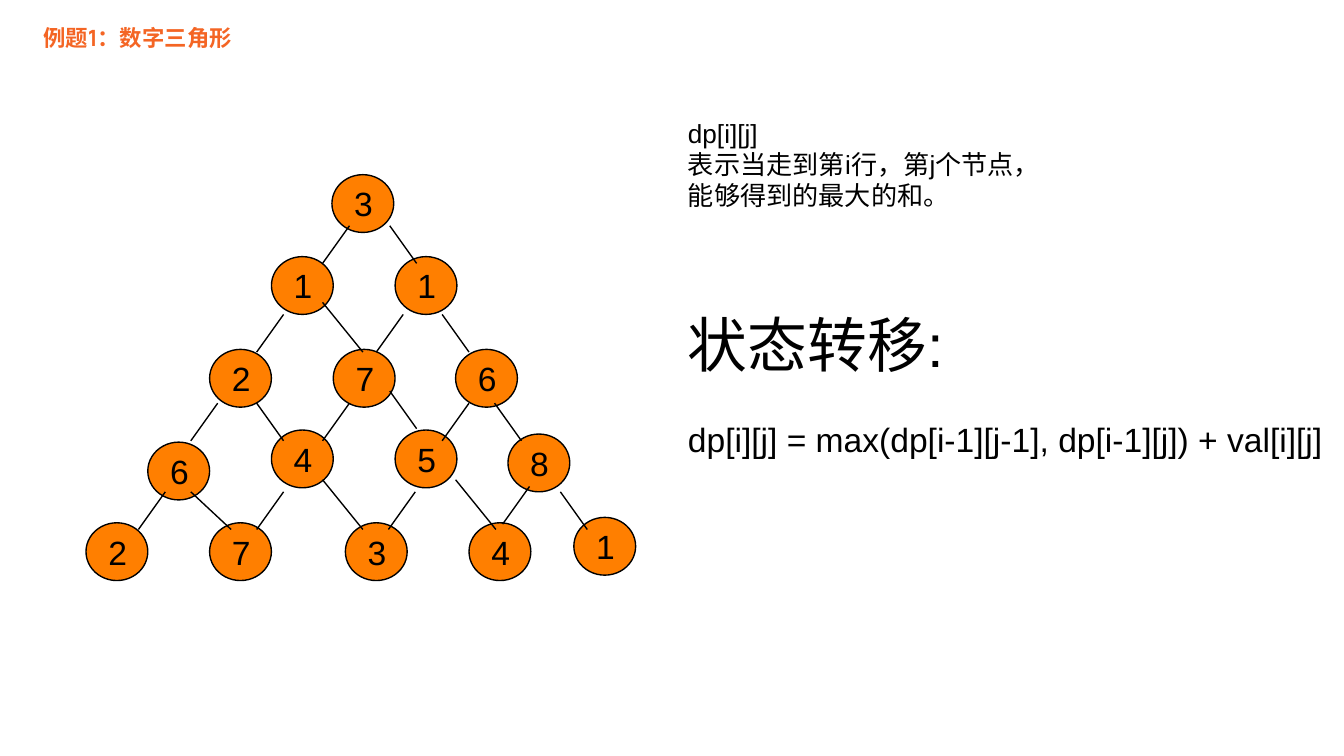
from lxml import etree
from pptx import Presentation
from pptx.dml.color import RGBColor
from pptx.enum.shapes import MSO_CONNECTOR, MSO_SHAPE
from pptx.enum.text import MSO_ANCHOR, MSO_AUTO_SIZE, PP_ALIGN
from pptx.oxml.ns import qn
from pptx.util import Pt

OVAL = MSO_SHAPE.OVAL
LINE = MSO_CONNECTOR.STRAIGHT
TOP, MIDDLE = MSO_ANCHOR.TOP, MSO_ANCHOR.MIDDLE
LEFT, CENTER = PP_ALIGN.LEFT, PP_ALIGN.CENTER
NO_FIT = MSO_AUTO_SIZE.NONE

UNIT = 9144  # 100 px to the inch
COLORS = {"title": "F46524", "node": "FF7F00", "ink": "000000"}
NODE_W, NODE_H = 46, 43

# Each node: left, top, value
NODES = [
    (247, 130, "3"),
    (202, 191, "1"), (294, 191, "1"),
    (156, 260, "2"), (248, 260, "7"), (339, 260, "6"),
    (110, 329, "6"), (202, 320, "4"), (294, 320, "5"), (378, 323, "8"),
    (64, 389, "2"), (156, 389, "7"), (257, 389, "3"), (349, 389, "4"),
    (427, 385, "1"),
]

# Each slant (dx, dy) with the start points of its edges
EDGES = {
    (-20, 28): [(260, 168), (211, 234), (162, 300), (123, 366), (300, 234),
                (260, 300), (211, 366), (349, 300), (309, 366), (394, 362)],
    (20, 28): [(290, 168), (329, 234), (368, 300), (417, 366), (191, 300),
               (290, 291)],
    (30, 37): [(240, 225), (240, 357), (339, 357)],
    (30, 28): [(142, 366)],
}


def px(n):
    return int(n * UNIT)


def color(name):
    return RGBColor.from_string(COLORS[name])


def add_run(para, text, size, font="Arial", ink="ink", bold=False):
    run = para.add_run()
    run.text = text
    run.font.size = Pt(size)
    run.font.name = font
    run.font.bold = bold
    run.font.color.rgb = color(ink)


def set_frame(frame, inset, anchor=TOP):
    frame.word_wrap = True
    frame.auto_size = NO_FIT
    frame.vertical_anchor = anchor
    frame.margin_left = frame.margin_right = px(10)
    frame.margin_top = frame.margin_bottom = px(inset)


def add_title(slide, text):
    title = slide.shapes.title
    title.left, title.top = px(22), px(8)
    title.width, title.height = px(681), px(40)
    set_frame(title.text_frame, 10)
    para = title.text_frame.paragraphs[0]
    para.alignment = LEFT
    para.space_after = Pt(16)
    add_run(para, text, 12, "Manrope", "title", True)


def add_node(group, left, top, value):
    node = group.shapes.add_shape(OVAL, px(left), px(top), px(NODE_W), px(NODE_H))
    node.shadow.inherit = False
    node.fill.solid()
    node.fill.fore_color.rgb = color("node")
    node.line.color.rgb = color("ink")
    node.line.width = Pt(0.75)
    set_frame(node.text_frame, 5, MIDDLE)
    para = node.text_frame.paragraphs[0]
    para.alignment = CENTER
    add_run(para, value, 18)


def add_edge(group, x, y, dx, dy):
    edge = group.shapes.add_connector(LINE, px(x), px(y), px(x + dx), px(y + dy))
    edge.line.color.rgb = color("ink")
    edge.line.width = Pt(0.75)
    etree.SubElement(edge.element.spPr, qn("a:effectLst"))


def add_text(slide, box, lines):
    """Each line: text, size, space before."""
    frame = slide.shapes.add_textbox(*map(px, box)).text_frame
    set_frame(frame, 10)
    for i, (text, size, gap) in enumerate(lines):
        para = frame.add_paragraph() if i else frame.paragraphs[0]
        para.space_before = Pt(gap)
        add_run(para, text, size)


def main():
    deck = Presentation()
    # Widescreen, 16 to 9
    deck.slide_width = px(1000)
    deck.slide_height = px(1000) * 9 // 16
    slide = deck.slides.add_slide(deck.slide_layouts[5])
    add_title(slide, "例题1：数字三角形")

    # Number triangle
    group = slide.shapes.add_group_shape()
    for node in NODES:
        add_node(group, *node)
    for slant, starts in EDGES.items():
        for start in starts:
            add_edge(group, *start, *slant)

    # State transition
    add_text(slide, (502, 219, 511, 344), [
        ("状态转移:", 32, 0),
        ("dp[i][j] = max(dp[i-1][j-1], dp[i-1][j]) + val[i][j]", 18, 21),
    ])

    # Meaning of the state
    add_text(slide, (502, 77, 329, 112), [
        ("dp[i][j]", 14, 0),
        ("表示当走到第i行，第j个节点，", 14, 0),
        ("能够得到的最大的和。", 14, 0),
    ])
    deck.save("out.pptx")


if __name__ == "__main__":
    main()
